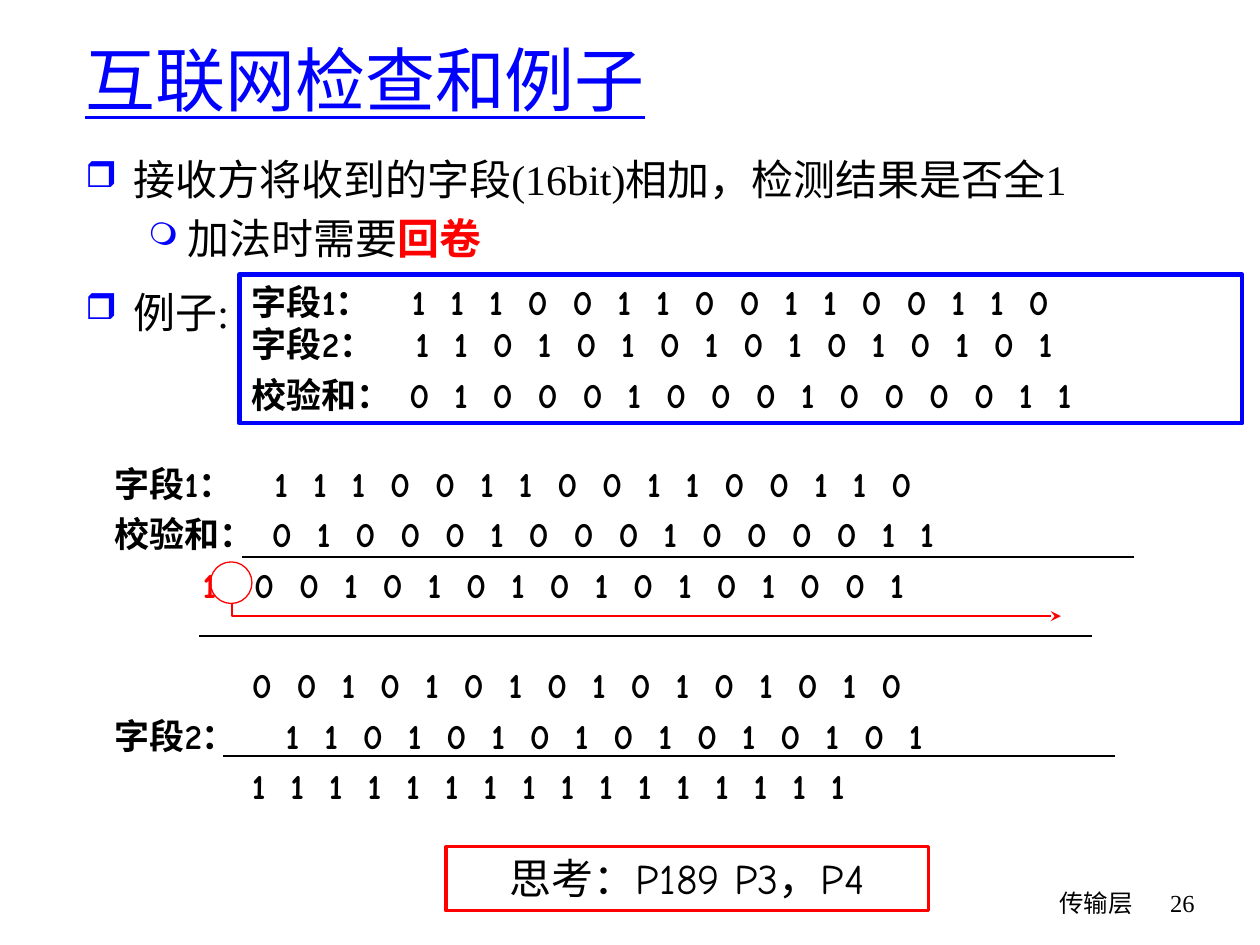
from lxml import etree
from pptx import Presentation
from pptx.dml.color import RGBColor
from pptx.enum.shapes import MSO_CONNECTOR, MSO_SHAPE
from pptx.enum.text import MSO_ANCHOR, PP_ALIGN
from pptx.oxml.ns import qn
from pptx.util import Inches, Pt

RECT, OVAL = MSO_SHAPE.RECTANGLE, MSO_SHAPE.OVAL
STRAIGHT = MSO_CONNECTOR.STRAIGHT
LEFT, CENTER, RIGHT = PP_ALIGN.LEFT, PP_ALIGN.CENTER, PP_ALIGN.RIGHT
TOP, MIDDLE = MSO_ANCHOR.TOP, MSO_ANCHOR.MIDDLE

COLORS = {"blue": "0000FF", "red": "FF0000", "black": "000000"}
SERIF, COMIC = "Times New Roman", "Comic Neue"
DIGIT_SPACING = 355  # hundredths of a point around each digit

FIELD_1 = "1110011001100110"
FIELD_2 = "1101010101010101"
CHECKSUM = "0100010001000011"
CARRY_SUM = "0010101010101001"
WRAPPED_SUM = "0010101010101010"
ALL_ONES = "1" * 16


def rgb(name):
    return RGBColor.from_string(COLORS[name])


def add_run(paragraph, text, size, font, color="black", bold=False):
    run = paragraph.add_run()
    run.text = text
    run.font.size = Pt(size)
    run.font.name = font
    run.font.bold = bold
    run.font.color.rgb = rgb(color)
    return run


def add_text_box(slide, left, top, width, height, anchor=TOP):
    frame = slide.shapes.add_textbox(
        Inches(left), Inches(top), Inches(width), Inches(height)).text_frame
    frame.word_wrap = True
    frame.vertical_anchor = anchor
    return frame


def add_label(slide, box, text, size, font, align=LEFT, color="black", anchor=TOP):
    paragraph = add_text_box(slide, *box, anchor).paragraphs[0]
    paragraph.alignment = align
    return add_run(paragraph, text, size, font, color)


def add_outline(slide, kind, box, color, weight):
    shape = slide.shapes.add_shape(kind, *(Inches(v) for v in box))
    shape.shadow.inherit = False
    shape.fill.background()
    shape.line.color.rgb = rgb(color)
    shape.line.width = Pt(weight)
    frame = shape.text_frame
    frame.word_wrap = True
    frame.vertical_anchor = TOP
    return frame


def next_paragraph(frame, index):
    return frame.paragraphs[0] if index == 0 else frame.add_paragraph()


def add_bullet(paragraph, char, percent, margin, hang):
    props = paragraph._p.get_or_add_pPr()
    props.set("marL", str(Inches(margin)))
    props.set("indent", str(-Inches(hang)))
    color = etree.SubElement(props, qn("a:buClr"))
    etree.SubElement(color, qn("a:srgbClr"), val=COLORS["blue"])
    etree.SubElement(props, qn("a:buSzPct"), val=str(percent * 1000))
    etree.SubElement(props, qn("a:buChar"), char=char)


def add_tab_stops(paragraph, stops):
    tabs = etree.SubElement(paragraph._p.get_or_add_pPr(), qn("a:tabLst"))
    for stop in stops:
        etree.SubElement(tabs, qn("a:tab"), pos=str(Inches(stop)), algn="l")


def add_sum_rows(frame, rows):
    """Each row: label, carry digit, bits, tab stops, line spacing, space before."""
    for index, (label, carry, bits, stops, spacing, before) in enumerate(rows):
        paragraph = next_paragraph(frame, index)
        paragraph.alignment = LEFT
        paragraph.line_spacing = spacing
        paragraph.space_before = Pt(before)
        add_tab_stops(paragraph, stops)
        add_run(paragraph, label + "\t", 20, COMIC, bold=True)
        if carry:
            add_run(paragraph, carry, 20, COMIC, "red", bold=True)
            add_run(paragraph, "\t", 20, COMIC, bold=True)
        digits = add_run(paragraph, " ".join(bits), 20, COMIC, bold=True)
        digits.font._element.set("spc", str(DIGIT_SPACING))


def add_rule(slide, left, right, y):
    rule = slide.shapes.add_connector(
        STRAIGHT, Inches(right), Inches(y), Inches(left), Inches(y))
    rule.line.color.rgb = rgb("black")
    rule.line.width = Pt(1)
    etree.SubElement(rule._element.spPr, qn("a:effectLst"))


def add_carry_arrow(slide, points):
    start, *rest = [(Inches(x), Inches(y)) for x, y in points]
    builder = slide.shapes.build_freeform(*start)
    builder.add_line_segments(rest, close=False)
    arrow = builder.convert_to_shape()
    arrow.shadow.inherit = False
    arrow.fill.background()
    arrow.line.color.rgb = rgb("red")
    arrow.line.width = Pt(0.75)
    etree.SubElement(arrow.line._get_or_add_ln(), qn("a:tailEnd"), type="stealth")


def add_points(slide):
    points = [
        ("❒", 85, 0.38, 0.38, 1.0, [("接收方将收到的字段(16bit)相加，检测结果是否全1", "black", False)]),
        ("❍", 75, 0.81, 0.31, 1.0, [("加法时需要", "black", False), ("回卷", "red", True)]),
        ("❒", 85, 0.38, 0.38, 1.3, [("例子:", "black", False)]),
    ]
    frame = add_text_box(slide, 0.58, 1.17, 8.5, 3)
    for index, (char, percent, margin, hang, spacing, runs) in enumerate(points):
        paragraph = next_paragraph(frame, index)
        add_bullet(paragraph, char, percent, margin, hang)
        paragraph.level = 1 if char == "❍" else 0
        paragraph.line_spacing = spacing
        if index:
            paragraph.space_before = Pt(4.8)
        for text, color, bold in runs:
            add_run(paragraph, text, 24, SERIF, color, bold)


def main():
    prs = Presentation()
    prs.slide_width, prs.slide_height = Inches(10), Inches(7.5)
    slide = prs.slides.add_slide(prs.slide_layouts[6])

    # Title and points
    title = add_label(slide, (0.58, 0.25, 8.5, 0.75), "互联网检查和例子",
                      40, SERIF, color="blue", anchor=MIDDLE)
    title.font.underline = True
    add_points(slide)

    # Footer
    add_label(slide, (5.92, 7, 3.17, 0.5), "传输层", 14, COMIC, RIGHT)
    add_label(slide, (9.08, 7, 0.5, 0.5), "26", 14, SERIF, RIGHT)

    # Fields and their checksum
    example = add_outline(slide, RECT, (1.9, 2.18, 7.96, 1.18), "blue", 2.5)
    add_sum_rows(example, [
        ("字段1：", "", FIELD_1, [1.27], 1.0, 0),
        ("字段2：", "", FIELD_2, [1.3], 1.0, 0),
        ("校验和：", "", CHECKSUM, [1.25], 1.2, 0),
    ])

    # Receiver's addition with wraparound
    addition = add_text_box(slide, 0.81, 3.62, 8.04, 3.27)
    add_sum_rows(addition, [
        ("字段1：", "", FIELD_1, [1.27], 1.0, 0),
        ("校验和：", "", CHECKSUM, [1.25], 1.2, 0),
        ("", "1", CARRY_SUM, [0.7, 1.11], 1.2, 0),
        ("", "", WRAPPED_SUM, [1.09], 1.2, 28.8),
        ("字段2：", "", FIELD_2, [1.36], 1.2, 0),
        ("", "", ALL_ONES, [1.09], 1.2, 0),
    ])
    for left, right, y in [(1.92, 9, 4.42), (1.58, 8.67, 5.05), (1.77, 8.85, 6)]:
        add_rule(slide, left, right, y)

    # Carry moved round to the last digit
    add_outline(slide, OVAL, (1.67, 4.46, 0.33, 0.33), "red", 0.75)
    add_carry_arrow(slide, [(1.84, 4.79), (1.84, 4.89), (8.42, 4.89)])

    # Exercise
    exercise = add_outline(slide, RECT, (3.54, 6.72, 3.83, 0.51), "red", 1.75)
    exercise.paragraphs[0].alignment = CENTER
    add_run(exercise.paragraphs[0], "思考：P189 P3，P4", 24, COMIC)

    prs.save("out.pptx")


if __name__ == "__main__":
    main()
